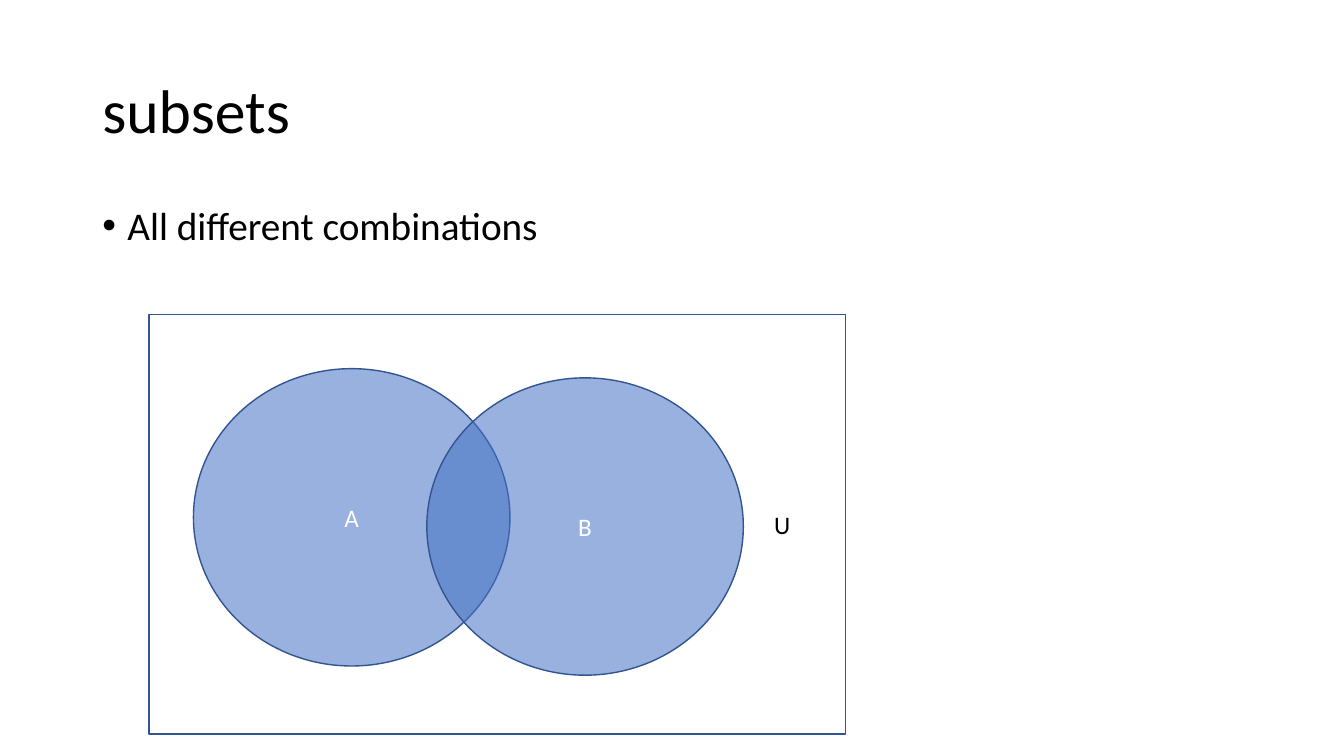
"""Build a slide with a Venn diagram of two overlapping sets in a universe."""
import pptx
import pptx.dml.color
import pptx.enum.shapes
import pptx.enum.text
import pptx.oxml
import pptx.oxml.ns
import pptx.util

Pt = pptx.util.Pt
MSO_SHAPE = pptx.enum.shapes.MSO_SHAPE
PP_ALIGN = pptx.enum.text.PP_ALIGN
MSO_ANCHOR = pptx.enum.text.MSO_ANCHOR


def rgb(value):
    return pptx.dml.color.RGBColor.from_string(value)


def write(sp, text, size, color, align, anchor):
    tf = sp.text_frame
    tf.word_wrap = True
    tf.vertical_anchor = anchor
    p = tf.paragraphs[0]
    p.text = text
    p.alignment = align
    p.font.name = "Calibri"
    p.font.size = Pt(size)
    p.font.color.rgb = rgb(color)
    return p


prs = pptx.Presentation()
prs.slide_width = Pt(960)
prs.slide_height = Pt(540)
s = prs.slides.add_slide(prs.slide_layouts[6])

title = s.shapes.add_textbox(Pt(66), Pt(28.8), Pt(828), Pt(104.4))
p = write(title, "subsets", 44, "000000", PP_ALIGN.LEFT, MSO_ANCHOR.MIDDLE)
p.line_spacing = 0.9

body = s.shapes.add_textbox(Pt(66), Pt(144), Pt(828), Pt(342.7))
p = write(body, "All different combinations", 28, "000000", PP_ALIGN.LEFT, MSO_ANCHOR.TOP)
p.line_spacing = 0.9
p.space_before = Pt(10)
pPr = p._p.get_or_add_pPr()
pPr.set("marL", str(Pt(18)))
pPr.set("indent", str(-Pt(18)))
ns = pptx.oxml.ns.nsdecls("a")
defRPr = pPr.find(pptx.oxml.ns.qn("a:defRPr"))
for xml in (f'<a:buFont {ns} typeface="Arial"/>', f'<a:buChar {ns} char="•"/>'):
    defRPr.addprevious(pptx.oxml.parse_xml(xml))

for name, left, top in (("A", 138.2, 263.3), ("B", 304.9, 269.9)):
    sp = s.shapes.add_shape(MSO_SHAPE.OVAL, Pt(left), Pt(top), Pt(226.1), Pt(212.4))
    sp.shadow.inherit = False
    sp.fill.solid()
    sp.fill.fore_color.rgb = rgb("4472C4")
    clr = sp.fill._xPr.find(".//" + pptx.oxml.ns.qn("a:srgbClr"))
    clr.append(pptx.oxml.parse_xml(f'<a:alpha {ns} val="55000"/>'))
    sp.line.color.rgb = rgb("325491")
    sp.line.width = Pt(1)
    write(sp, name, 18, "FFFFFF", PP_ALIGN.CENTER, MSO_ANCHOR.MIDDLE)

universe = s.shapes.add_shape(MSO_SHAPE.RECTANGLE, Pt(106.4), Pt(224.8), Pt(497.5), Pt(299.5))
universe.shadow.inherit = False
universe.fill.background()
universe.line.color.rgb = rgb("325491")
universe.line.width = Pt(1)
universe.text_frame.margin_right = Pt(39.5)
write(universe, "U", 18, "000000", PP_ALIGN.RIGHT, MSO_ANCHOR.MIDDLE)

prs.save("out.pptx")
